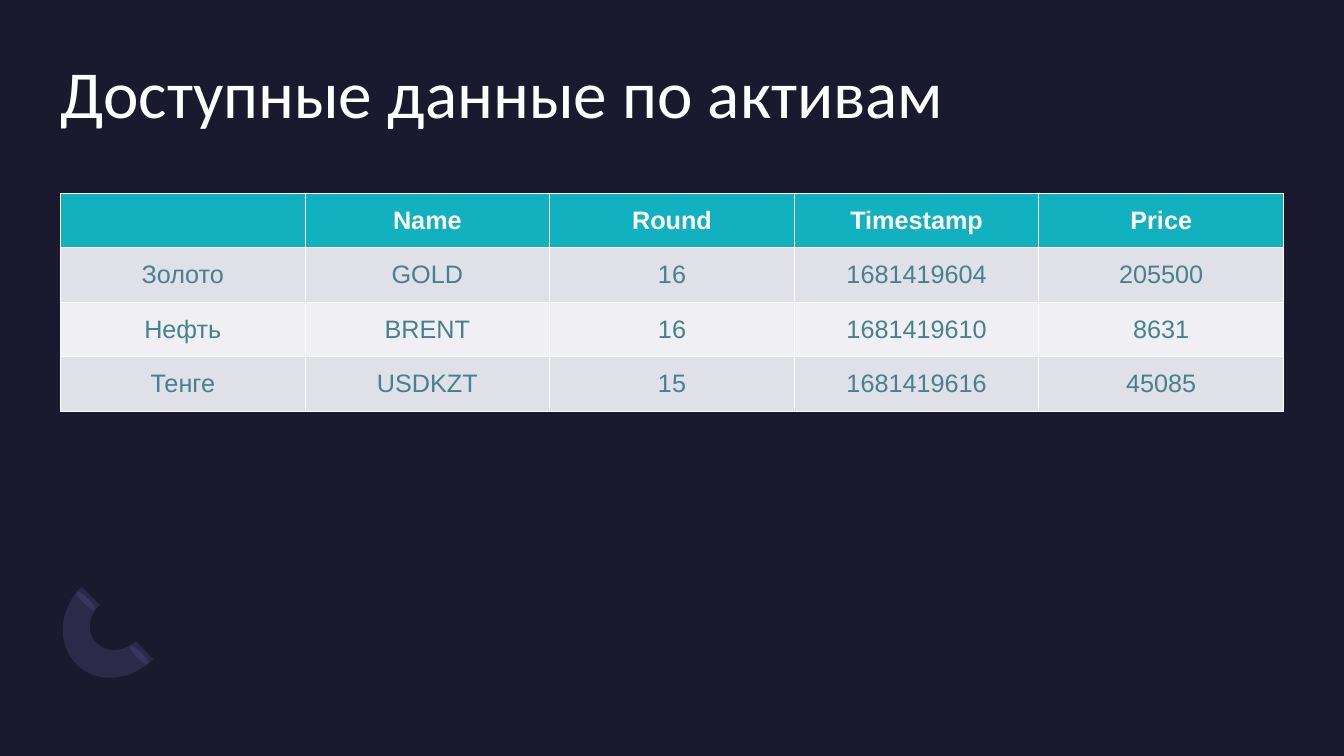
import lxml.etree
import pptx
import pptx.dml.color
import pptx.enum.shapes
import pptx.enum.text
import pptx.oxml.ns
import pptx.util

EMU_PER_PX = 9144
RGBColor = pptx.dml.color.RGBColor
NAVY = RGBColor(0x1B, 0x19, 0x2E)
INDIGO = RGBColor(0x2B, 0x27, 0x4A)
VIOLET = RGBColor(0x74, 0x6E, 0xB3)
TURQUOISE = RGBColor(0x12, 0xB1, 0xBF)
TEAL = RGBColor(0x45, 0x81, 0x8E)
BANDS = (RGBColor(0xF0, 0xF0, 0xF4), RGBColor(0xE0, 0xE0, 0xE9))
WHITE = RGBColor(0xFF, 0xFF, 0xFF)

ASSETS = (
    ("", "Name", "Round", "Timestamp", "Price"),
    ("Золото", "GOLD", "16", "1681419604", "205500"),
    ("Нефть", "BRENT", "16", "1681419610", "8631"),
    ("Тенге", "USDKZT", "15", "1681419616", "45085"),
)
OUTER_ARC = ((96, 72), (74, 94), (39, 97), (20, 77), (0, 57), (2, 23), (25, 0))
INNER_ARC = ((43, 18), (31, 29), (30, 47), (40, 56), (50, 66), (67, 65), (79, 54))


def px(length):
    """Turn pixels into EMU."""
    return pptx.util.Emu(round(length * EMU_PER_PX))


def set_format(target, values):
    """Set each attribute in values on the target."""
    for name, value in values.items():
        setattr(target, name, value)


def set_font(font, color, size, name, bold=False):
    """Give a font its face, size, weight and colour."""
    set_format(font, {"name": name, "size": pptx.util.Pt(size), "bold": bold})
    font.color.rgb = color


def add_child(parent, tag, **attributes):
    """Append a DrawingML element and return it."""
    return lxml.etree.SubElement(parent, pptx.oxml.ns.qn(tag), **attributes)


def paint(shape, color):
    """Fill a shape without line or shadow."""
    shape.shadow.inherit = False
    shape.line.fill.background()
    shape.fill.solid()
    shape.fill.fore_color.rgb = color


def trace_curves(points, steps=16):
    """Return points along joined cubic Bezier curves."""
    traced = [points[0]]
    for start in range(0, len(points) - 1, 3):
        controls = points[start:start + 4]
        for step in range(1, steps + 1):
            t = step / steps
            weights = ((1 - t) ** 3, 3 * t * (1 - t) ** 2, 3 * t * t * (1 - t), t ** 3)
            traced.append(tuple(
                sum(weight * point[axis] for weight, point in zip(weights, controls))
                for axis in (0, 1)
            ))
    return traced


def add_ring_ornament(slide, left, top):
    """Draw the translucent half ring with an ellipse on each end."""
    for offset_x, offset_y in ((79, 55), (26, 1)):
        ellipse = slide.shapes.add_shape(
            pptx.enum.shapes.MSO_SHAPE.OVAL,
            px(left + offset_x), px(top + offset_y), px(6), px(26),
        )
        ellipse.rotation = 315
        paint(ellipse, INDIGO)
    outline = [
        (px(left + x), px(top + y))
        for x, y in trace_curves(OUTER_ARC) + trace_curves(INNER_ARC)
    ]
    builder = slide.shapes.build_freeform(*outline[0])
    builder.add_line_segments(outline[1:], close=True)
    ring = builder.convert_to_shape()
    paint(ring, VIOLET)
    color = ring.fill._xPr.find(".//" + pptx.oxml.ns.qn("a:srgbClr"))
    add_child(color, "a:alpha", val="20000")


def add_title(slide, left, top, width, height, text):
    """Place the slide title in its placeholder."""
    title = slide.shapes.title
    set_format(title, {"left": px(left), "top": px(top),
                       "width": px(width), "height": px(height)})
    frame = title.text_frame
    set_format(frame, {
        "margin_left": 0, "margin_top": 0, "margin_right": 0, "margin_bottom": 0,
        "word_wrap": True,
        "auto_size": pptx.enum.text.MSO_AUTO_SIZE.NONE,
        "vertical_anchor": pptx.enum.text.MSO_ANCHOR.TOP,
    })
    frame.text = text
    paragraph = frame.paragraphs[0]
    set_format(paragraph, {"alignment": pptx.enum.text.PP_ALIGN.LEFT, "line_spacing": 0.9})
    set_font(paragraph.runs[0].font, WHITE, 48, "Calibri")


def add_borders(cell):
    """Draw thin white lines on all sides of a cell."""
    properties = cell._tc.get_or_add_tcPr()
    for side in ("a:lnL", "a:lnR", "a:lnT", "a:lnB"):
        line = add_child(properties, side, w=str(pptx.util.Pt(0.75)))
        add_child(add_child(line, "a:solidFill"), "a:srgbClr", val=str(WHITE))


def format_cell(cell, text, fill, color, bold):
    """Write and style one table cell."""
    add_borders(cell)
    cell.fill.solid()
    cell.fill.fore_color.rgb = fill
    set_format(cell, {
        "margin_left": px(10), "margin_right": px(10),
        "margin_top": px(5), "margin_bottom": px(5),
        "vertical_anchor": pptx.enum.text.MSO_ANCHOR.MIDDLE,
    })
    paragraph = cell.text_frame.paragraphs[0]
    paragraph.alignment = pptx.enum.text.PP_ALIGN.CENTER
    if text:
        run = paragraph.add_run()
        run.text = text
        set_font(run.font, color, 18, "Arial", bold)


def add_asset_table(slide, left, top, width, row_height):
    """Place the asset table with a header and banded rows."""
    table = slide.shapes.add_table(
        len(ASSETS), len(ASSETS[0]), px(left), px(top),
        px(width), px(row_height * len(ASSETS)),
    ).table
    for row_index, values in enumerate(ASSETS):
        header = row_index == 0
        fill = TURQUOISE if header else BANDS[row_index % 2]
        color = WHITE if header else TEAL
        for column_index, text in enumerate(values):
            format_cell(table.cell(row_index, column_index), text, fill, color, header)


def main():
    """Build and save the presentation."""
    presentation = pptx.Presentation()
    set_format(presentation, {"slide_width": px(1333), "slide_height": px(750)})
    slide = presentation.slides.add_slide(presentation.slide_layouts.get_by_name("Title Only"))
    slide.background.fill.solid()
    slide.background.fill.fore_color.rgb = NAVY
    add_ring_ornament(slide, 56, 582)
    add_title(slide, 60, 60, 1213, 146, "Доступные данные по активам")
    add_asset_table(slide, 60, 192, 1213, 54)
    presentation.save("out.pptx")


if __name__ == "__main__":
    main()
